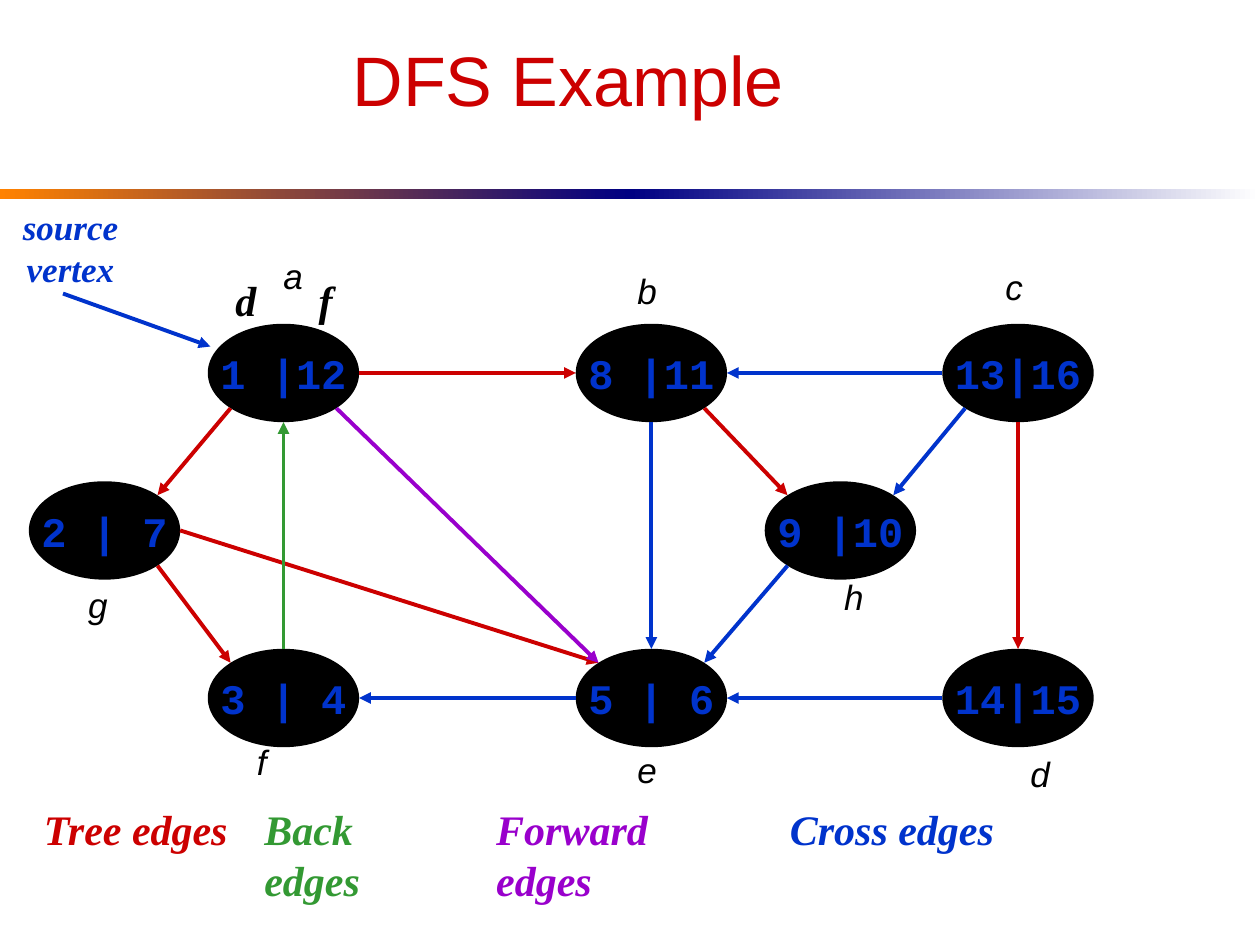
"""Build a slide that classifies the edges of a depth-first search."""
import pptx
import pptx.dml.color
import pptx.enum.shapes
import pptx.enum.text
import pptx.oxml
import pptx.oxml.ns
import pptx.util
from pptx.util import Inches

RED, GREEN, PURPLE, BLUE, BLACK = "CC0000", "339933", "9900CC", "0033CC", "000000"
SHAPES = pptx.enum.shapes.MSO_SHAPE
ALIGN = pptx.enum.text.PP_ALIGN
MIDDLE = pptx.enum.text.MSO_ANCHOR.MIDDLE


def color(value):
    """Turn a hex string into a colour."""
    return pptx.dml.color.RGBColor.from_string(value)


def write(shape, text, font, size, ink, bold=False, italic=False, align=ALIGN.LEFT):
    """Fill a shape with one formatted paragraph."""
    shape.text_frame.word_wrap = False
    para = shape.text_frame.paragraphs[0]
    para.text = text
    para.alignment = align
    para.font.name = font
    para.font.size = pptx.util.Pt(size)
    para.font.bold = bold
    para.font.italic = italic
    para.font.color.rgb = color(ink)


deck = pptx.Presentation()
deck.slide_width, deck.slide_height = Inches(10), Inches(7.5)
slide = deck.slides.add_slide(deck.slide_layouts[5])
shapes = slide.shapes

for left, start, end in [(0, "FF8200", "000082"), (5, "000082", "FFFFFF")]:
    band = shapes.add_shape(SHAPES.RECTANGLE, Inches(left), Inches(1.5), Inches(5), Inches(0.08))
    band.shadow.inherit = False
    band.line.fill.background()
    band.fill.gradient()
    band.fill.gradient_angle = 0
    for stop, value in zip(band.fill.gradient_stops, (start, end)):
        stop.color.rgb = color(value)
        stop.position = 0 if value == start else 1

title = shapes.title
title.left, title.top, title.width, title.height = Inches(0.01), Inches(0.08), Inches(9), Inches(1.08)
title.text_frame.vertical_anchor = MIDDLE
write(title, "DFS Example", "Arial", 40, RED, align=ALIGN.CENTER)
title.text_frame.word_wrap = True

TOP, CENTER, BOTTOM = 2.96, 4.21, 5.54
vertices = {
    "a": (2.25, TOP, "1 |12", 2.15, 1.97),
    "b": (5.17, TOP, "8 |11", 4.96, 2.09),
    "c": (8.08, TOP, "13|16", 7.88, 2.06),
    "d": (8.08, BOTTOM, "14|15", 8.08, 5.92),
    "e": (5.17, BOTTOM, "5 | 6", 4.96, 5.89),
    "f": (2.25, BOTTOM, "3 | 4", 1.94, 5.83),
    "g": (0.83, CENTER, "2 | 7", 0.6, 4.58),
    "h": (6.67, CENTER, "9 |10", 6.6, 4.52),
}
WIDTH, HEIGHT = 1.17, 0.75
for name, (x, y, times, label_left, label_top) in vertices.items():
    vertex = shapes.add_shape(SHAPES.OVAL, Inches(x - WIDTH / 2), Inches(y - HEIGHT / 2),
                              Inches(WIDTH), Inches(HEIGHT))
    vertex.shadow.inherit = False
    vertex.fill.solid()
    vertex.fill.fore_color.rgb = color(BLACK)
    vertex.line.color.rgb = color(BLACK)
    vertex.line.width = pptx.util.Pt(2.25)
    vertex.text_frame.vertical_anchor = MIDDLE
    write(vertex, times, "Courier New", 24, BLUE, bold=True, align=ALIGN.CENTER)
    label = shapes.add_textbox(Inches(label_left), Inches(label_top), Inches(0.41), Inches(0.44))
    write(label, name, "Arial", 20, BLACK, italic=True)

sides = {
    "N": (0, -0.39), "S": (0, 0.39), "W": (-0.6, 0), "E": (0.6, 0),
    "NW": (-0.42, -0.28), "NE": (0.42, -0.28), "SW": (-0.42, 0.28), "SE": (0.42, 0.28),
}
edges = [
    ("a", "SW", "g", "NE", RED), ("g", "SE", "f", "NW", RED), ("g", "E", "e", "NW", RED),
    ("e", "W", "f", "E", BLUE), ("f", "N", "a", "S", GREEN), ("b", "S", "e", "N", BLUE),
    ("a", "E", "b", "W", RED), ("c", "W", "b", "E", BLUE), ("b", "SE", "h", "NW", RED),
    ("c", "SW", "h", "NE", BLUE), ("c", "S", "d", "N", RED), ("d", "W", "e", "E", BLUE),
    ("h", "SW", "e", "NE", BLUE), ("a", "SE", "e", "NW", PURPLE),
]
arrows = [(0.5, 2.33, 1.67, 2.75, BLUE)]
for origin, exit_side, target, entry_side, ink in edges:
    ends = [vertices[name][axis] + sides[side][axis]
            for name, side in ((origin, exit_side), (target, entry_side)) for axis in (0, 1)]
    arrows.append((*ends, ink))
for *ends, ink in arrows:
    arrow = shapes.add_connector(pptx.enum.shapes.MSO_CONNECTOR.STRAIGHT, *map(Inches, ends))
    arrow.line.color.rgb = color(ink)
    arrow.line.width = pptx.util.Pt(2.25)
    head = pptx.oxml.parse_xml(f'<a:tailEnd {pptx.oxml.ns.nsdecls("a")} type="triangle"/>')
    arrow.line._get_or_add_ln().append(head)
    arrow._element.spPr.append(pptx.oxml.parse_xml(f'<a:effectLst {pptx.oxml.ns.nsdecls("a")}/>'))

captions = [
    ("source\vvertex", 0.08, 1.58, 0.96, 0.77, 20, BLUE, ALIGN.CENTER),
    ("d", 1.77, 2.13, 0.37, 0.5, 24, BLACK, ALIGN.LEFT),
    ("f", 2.43, 2.13, 0.31, 0.5, 24, BLACK, ALIGN.LEFT),
    ("Tree edges", 0.25, 6.33, 1.67, 0.5, 24, RED, ALIGN.LEFT),
    ("Back edges", 2, 6.33, 1.74, 0.5, 24, GREEN, ALIGN.LEFT),
    ("Forward edges", 3.84, 6.33, 2.24, 0.5, 24, PURPLE, ALIGN.LEFT),
    ("Cross edges", 6.17, 6.33, 1.82, 0.5, 24, BLUE, ALIGN.LEFT),
]
for text, left, top, width, height, size, ink, align in captions:
    caption = shapes.add_textbox(Inches(left), Inches(top), Inches(width), Inches(height))
    write(caption, text, "Times New Roman", size, ink, bold=True, italic=True, align=align)

deck.save("out.pptx")
